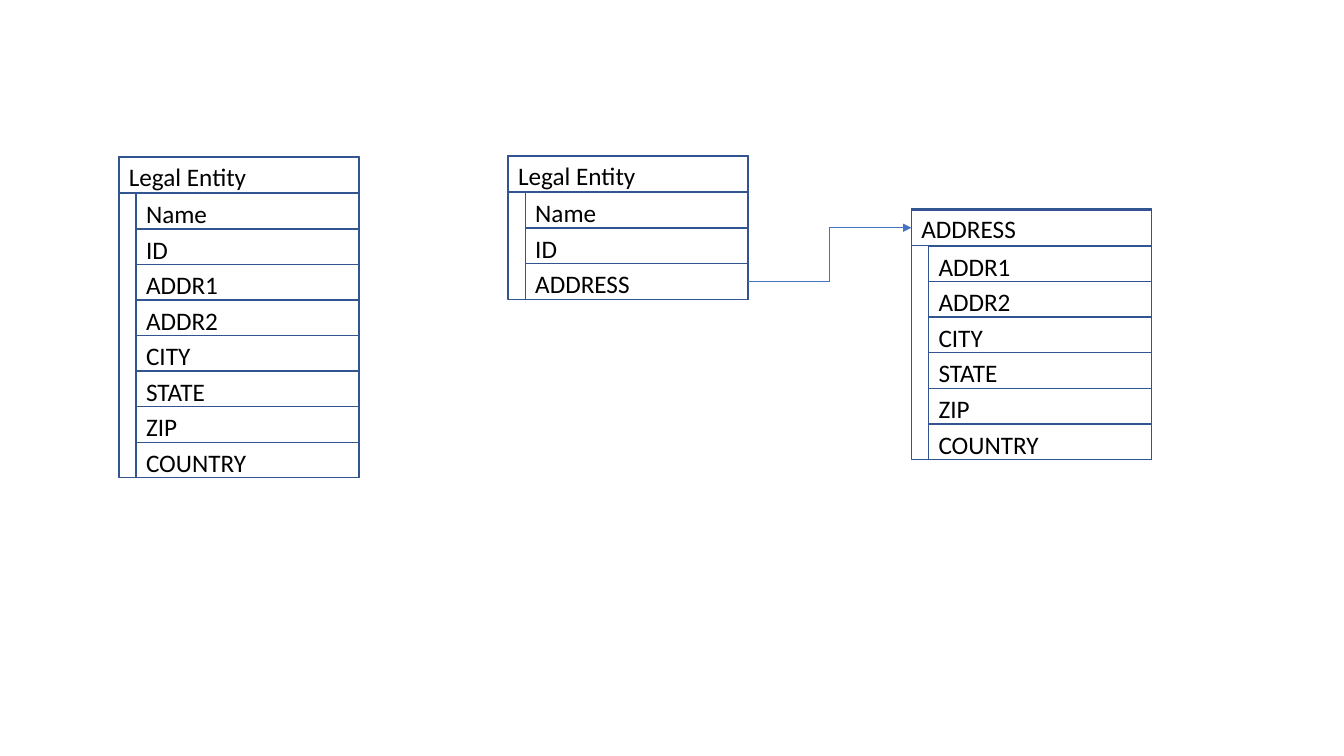
"""Build a slide that splits address fields out of a Legal Entity table."""
from lxml.etree import SubElement
from pptx import Presentation
from pptx.dml.color import RGBColor
from pptx.enum.shapes import MSO_CONNECTOR, MSO_SHAPE
from pptx.enum.text import MSO_ANCHOR, PP_ALIGN
from pptx.oxml.ns import qn
from pptx.util import Inches, Pt

ADDRESS_FIELDS = ["ADDR1", "ADDR2", "CITY", "STATE", "ZIP", "COUNTRY"]
ENTITIES = [
    ("Legal Entity", 1.18, 1.55, 3.19, ["Name", "ID"] + ADDRESS_FIELDS),
    ("Legal Entity", 5.04, 1.54, 1.43, ["Name", "ID", "ADDRESS"]),
    ("ADDRESS", 9.04, 2.07, 2.49, ADDRESS_FIELDS),
]
COLORS = {"border": "325491", "arrow": "4472C4", "text": "000000"}
ENTITY_WIDTH = 2.38
FIELD_INDENT = 0.17
HEADER_OFFSET = 0.015
HEADER_HEIGHT = 0.35
FIELDS_OFFSET = 0.37


def add_box(slide, left, top, width, height, label=""):
    box = slide.shapes.add_shape(
        MSO_SHAPE.RECTANGLE, Inches(left), Inches(top), Inches(width), Inches(height))
    box.shadow.inherit = False
    box.fill.background()
    box.line.color.rgb = RGBColor.from_string(COLORS["border"])
    box.line.width = Pt(1)
    if label:
        box.text_frame.vertical_anchor = MSO_ANCHOR.TOP
        paragraph = box.text_frame.paragraphs[0]
        paragraph.alignment = PP_ALIGN.LEFT
        run = paragraph.add_run()
        run.text = label
        run.font.name = "Calibri"
        run.font.size = Pt(18)
        run.font.color.rgb = RGBColor.from_string(COLORS["text"])
    return box


def add_entity(slide, name, left, top, height, fields):
    add_box(slide, left, top, ENTITY_WIDTH, height, name)
    header = add_box(slide, left, top + HEADER_OFFSET, ENTITY_WIDTH, HEADER_HEIGHT)
    row_height = (height - FIELDS_OFFSET) / len(fields)
    rows = [
        add_box(slide, left + FIELD_INDENT, top + FIELDS_OFFSET + index * row_height,
                ENTITY_WIDTH - FIELD_INDENT, row_height, field)
        for index, field in enumerate(fields)
    ]
    return header, rows


def add_reference(slide, field, header):
    reference = slide.shapes.add_connector(MSO_CONNECTOR.ELBOW, 0, 0, 0, 0)
    reference.begin_connect(field, 3)
    reference.end_connect(header, 1)
    reference.line.color.rgb = RGBColor.from_string(COLORS["arrow"])
    reference.line.width = Pt(0.5)
    SubElement(reference.line._get_or_add_ln(), qn("a:tailEnd"), type="triangle")
    SubElement(reference._element.spPr, qn("a:effectLst"))


def main():
    presentation = Presentation()
    presentation.slide_width = Inches(13.33)
    presentation.slide_height = Inches(7.5)
    slide = presentation.slides.add_slide(presentation.slide_layouts[6])
    combined, split, address = [add_entity(slide, *entity) for entity in ENTITIES]
    add_reference(slide, split[1][-1], address[0])
    presentation.save("out.pptx")


if __name__ == "__main__":
    main()
